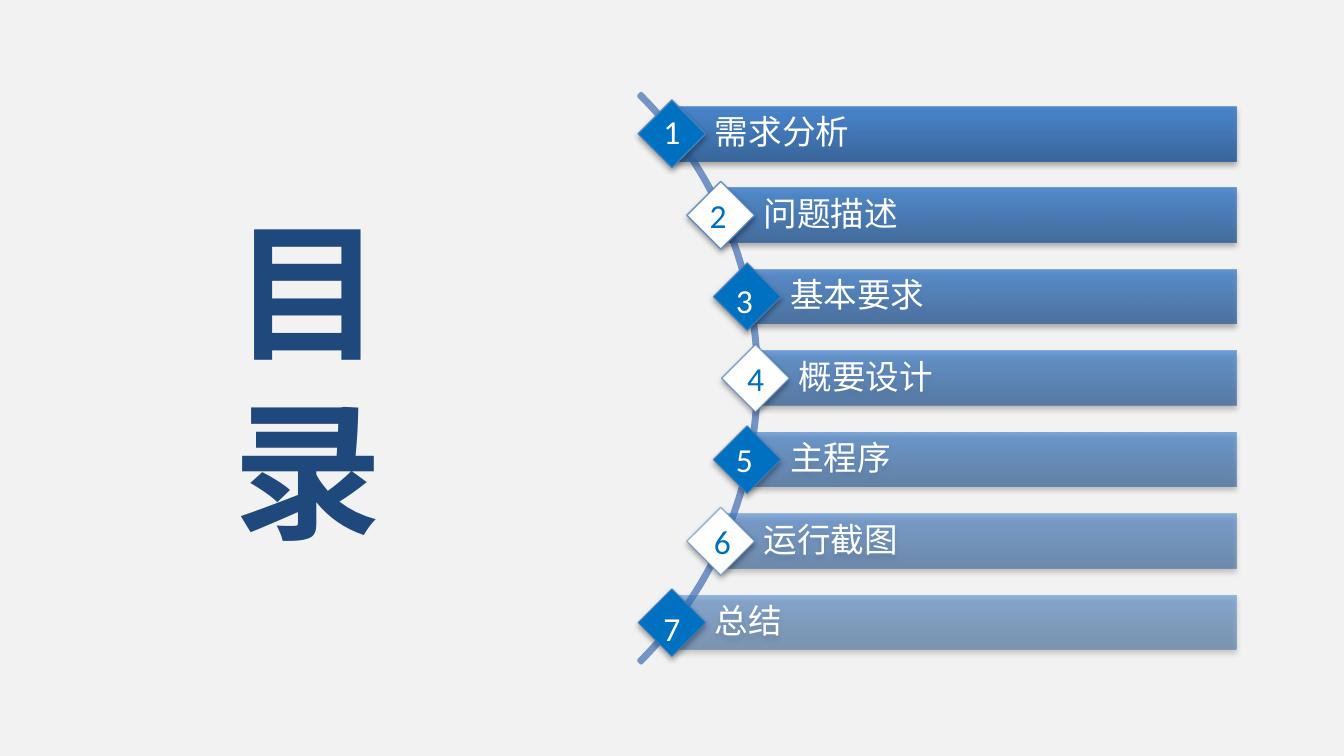
from math import sqrt

from lxml import etree
from pptx import Presentation
from pptx.dml.color import RGBColor
from pptx.enum import shapes, text
from pptx.oxml import ns
from pptx.util import Cm, Pt

# Content: chapter, and where its number sits inside the diamond (cm)
TITLE = "目\n录"
CHAPTERS = [
    ("需求分析", 0.25, 0.08),
    ("问题描述", 0.20, 0.13),
    ("基本要求", 0.20, 0.20),
    ("概要设计", 0.25, 0.13),
    ("主程序", 0.20, 0.13),
    ("运行截图", 0.28, 0.13),
    ("总结", 0.25, 0.23),
]
BACKGROUND, NAVY, BLUE, WHITE = "F2F2F2", "1F497D", "0070C0", "FFFFFF"
ARC_LINE, DIAMOND_LINE = "7394C5", "4F81BD"
BAR_STOPS = [(0, "2F5F99"), (80, "3D7CC7"), (100, "3A7CCB")]

# Layout (cm)
CENTER_X, CENTER_Y, RADIUS = 6.74, 7.15, 7.54
ARC_SIZE = 15.21
PITCH, BAR_HEIGHT, BAR_RIGHT = 1.54, 1.03, 23.36
DIAMOND = 1.28
NUMBER_WIDTH, NUMBER_HEIGHT = 0.78, 1.02


def rgb(value):
    return RGBColor.from_string(value)


def xml(parent, tag, **attributes):
    return etree.SubElement(parent, ns.qn(tag), {k: str(v) for k, v in attributes.items()})


def write(shape, words, size, color, font="Calibri", bold=False, align=text.PP_ALIGN.LEFT,
          anchor=text.MSO_ANCHOR.TOP, wrap=True, left=0.25, spacing=None, after=None):
    frame = shape.text_frame
    frame.text = words
    frame.word_wrap = wrap
    frame.auto_size = text.MSO_AUTO_SIZE.NONE
    frame.vertical_anchor = anchor
    frame.margin_left = Cm(left)
    for paragraph in frame.paragraphs:
        paragraph.alignment = align
        paragraph.line_spacing = spacing
        paragraph.space_after = after
        face = paragraph.runs[0].font
        face.name, face.size, face.bold = font, Pt(size), bold
        face.color.rgb = rgb(color)


def add_shape(slide, kind, x, y, width, height):
    shape = slide.shapes.add_shape(kind, Cm(x), Cm(y), Cm(width), Cm(height))
    shape.shadow.inherit = False
    return shape


def soft_shadow(shape):
    effects = shape._element.spPr.find(ns.qn("a:effectLst"))
    shadow = xml(effects, "a:outerShdw", blurRad=Pt(3.1), dist=Pt(1.8), dir=5400000, rotWithShape=0)
    xml(xml(shadow, "a:srgbClr", val="000000"), "a:alpha", val=35000)


def fade_gradient(shape, opacity):
    shape.fill.gradient()
    gradient = shape._element.spPr.find(ns.qn("a:gradFill"))
    for child in list(gradient):
        gradient.remove(child)
    stops = xml(gradient, "a:gsLst")
    for position, color in BAR_STOPS:
        stop = xml(stops, "a:gs", pos=position * 1000)
        xml(xml(stop, "a:srgbClr", val=color), "a:alpha", val=opacity)
    xml(gradient, "a:lin", ang=16200000, scaled=0)


def add_chapter(slide, index, name, number_x, number_y):
    # Each row starts where the circle crosses its middle line
    offset = (index - (len(CHAPTERS) - 1) / 2) * PITCH
    x = CENTER_X + sqrt(RADIUS ** 2 - offset ** 2)
    y = CENTER_Y + offset
    opacity = round(90000 - 40000 * index / (len(CHAPTERS) - 1))
    fill, ink = (BLUE, WHITE) if index % 2 == 0 else (WHITE, BLUE)

    # Bar
    bar = add_shape(slide, shapes.MSO_SHAPE.RECTANGLE, x, y - BAR_HEIGHT / 2,
                    BAR_RIGHT - x, BAR_HEIGHT)
    fade_gradient(bar, opacity)
    bar.line.fill.background()
    soft_shadow(bar)
    write(bar, name, 18, WHITE, anchor=text.MSO_ANCHOR.MIDDLE, left=0.81,
          spacing=0.9, after=Pt(6.3))

    # Diamond
    left, top = x - DIAMOND / 2, y - DIAMOND / 2
    diamond = add_shape(slide, shapes.MSO_SHAPE.DIAMOND, left, top, DIAMOND, DIAMOND)
    diamond.fill.solid()
    diamond.fill.fore_color.rgb = rgb(fill)
    diamond.line.width = Pt(0.75)
    diamond.line.color.rgb = rgb(DIAMOND_LINE)
    line_color = diamond.line._ln.find(".//" + ns.qn("a:srgbClr"))
    xml(line_color, "a:alpha", val=opacity)
    soft_shadow(diamond)

    # Number
    number = slide.shapes.add_textbox(Cm(left + number_x), Cm(top + number_y),
                                      Cm(NUMBER_WIDTH), Cm(NUMBER_HEIGHT))
    write(number, str(index + 1), 18, ink, align=text.PP_ALIGN.CENTER, wrap=False)


def main():
    deck = Presentation()
    deck.slide_width, deck.slide_height = Cm(25.4), Cm(14.29)
    slide = deck.slides.add_slide(deck.slide_layouts[5])
    slide.background.fill.solid()
    slide.background.fill.fore_color.rgb = rgb(BACKGROUND)

    # Title
    title = slide.shapes.title
    title.left, title.top, title.width, title.height = Cm(4.17), Cm(3.61), Cm(3.66), Cm(7.09)
    write(title, TITLE, 80, NAVY, font="Arial", bold=True, anchor=text.MSO_ANCHOR.MIDDLE)

    # Arc
    arc = add_shape(slide, shapes.MSO_SHAPE.BLOCK_ARC, CENTER_X - ARC_SIZE / 2,
                    CENTER_Y - ARC_SIZE / 2, ARC_SIZE, ARC_SIZE)
    for i, value in enumerate((189, 27, 0.004)):
        arc.adjustments[i] = value
    arc.fill.background()
    arc.line.color.rgb = rgb(ARC_LINE)
    arc.line.width = Pt(2)

    # Chapters
    for index, chapter in enumerate(CHAPTERS):
        add_chapter(slide, index, *chapter)

    deck.save("out.pptx")


if __name__ == "__main__":
    main()
